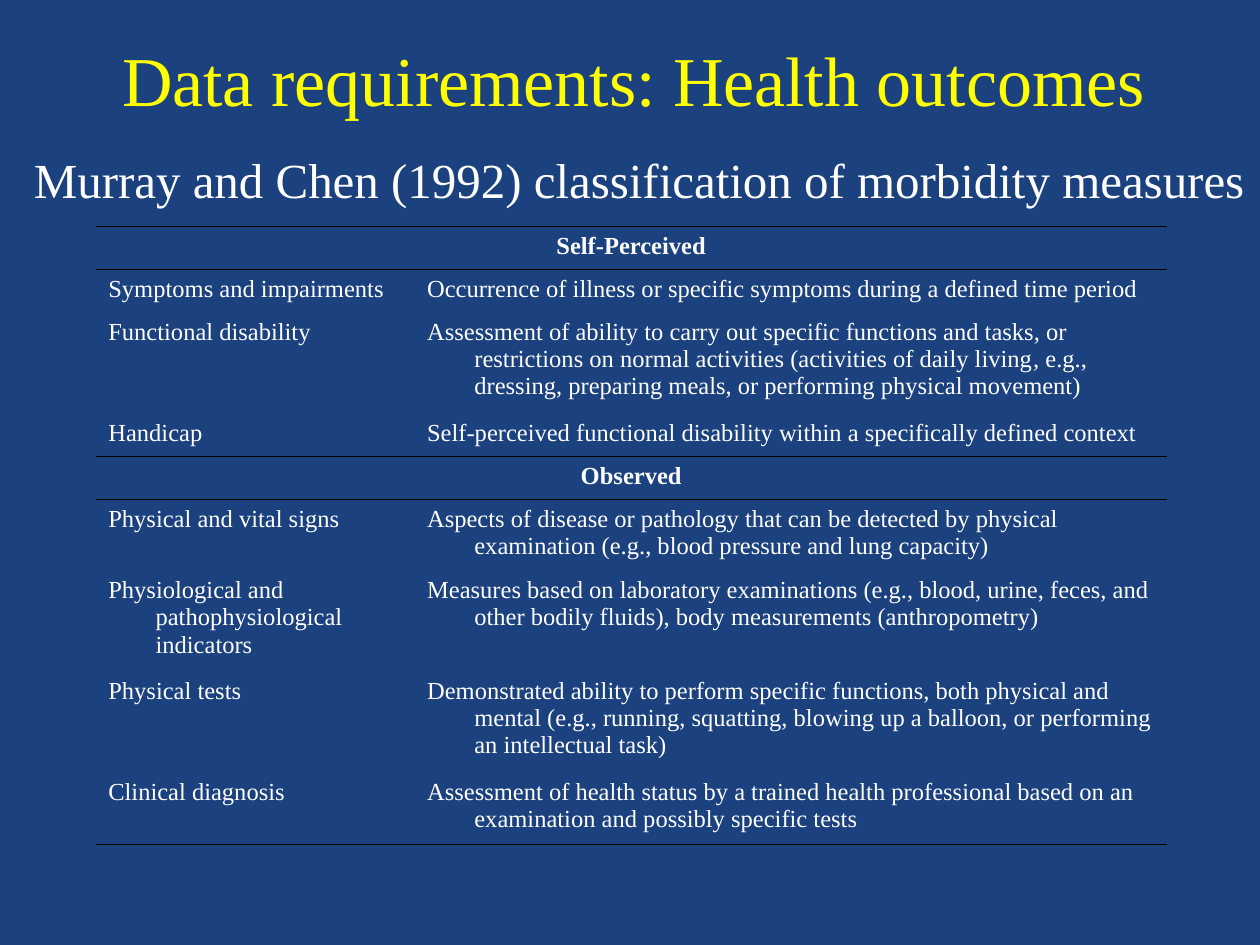
from dataclasses import dataclass

from lxml.etree import SubElement
from pptx import Presentation
from pptx.dml.color import RGBColor as Rgb
from pptx.enum.text import MSO_ANCHOR as Anchor, MSO_AUTO_SIZE as Fit, PP_ALIGN as Align
from pptx.oxml.ns import qn
from pptx.util import Inches, Pt

COLORS = {"back": "1B417F", "title": "FFFF00", "text": "FFFFFF", "rule": "000000"}
FONT = "Times New Roman"
PLAIN = "{2D5ABB26-0587-4C30-8999-92F81FD0307C}"  # table style without grid
HANG = 0.375


@dataclass
class Row:
    high: float
    name: str
    note: str = ""

    @property
    def head(self) -> bool:
        return not self.note


ROWS = [
    Row(0.34, "Self-Perceived"),
    Row(0.34, "Symptoms and impairments",
        "Occurrence of illness or specific symptoms during a defined time period"),
    Row(0.8, "Functional disability",
        "Assessment of ability to carry out specific functions and tasks, or restrictions on "
        "normal activities (activities of daily living*,* e.g., dressing, preparing meals, "
        "or performing physical movement)"),
    Row(0.34, "Handicap",
        "Self-perceived functional disability within a specifically defined context"),
    Row(0.34, "Observed"),
    Row(0.57, "Physical and vital signs",
        "Aspects of disease or pathology that can be detected by physical examination "
        "(e.g., blood pressure and lung capacity)"),
    Row(0.8, "Physiological and pathophysiological indicators",
        "Measures based on laboratory examinations (e.g., blood, urine, feces, and other "
        "bodily fluids), body measurements (anthropometry)"),
    Row(0.8, "Physical tests",
        "Demonstrated ability to perform specific functions, both physical and mental "
        "(e.g., running, squatting, blowing up a balloon, or performing an intellectual task)"),
    Row(0.57, "Clinical diagnosis",
        "Assessment of health status by a trained health professional based on an "
        "examination and possibly specific tests"),
]


def write(frame, text: str, *, size: float, color: str = "text", bold: bool = False,
          align=Align.LEFT, hang: float = 0) -> None:
    """Fill a text frame; parts between asterisks are italic."""
    para = frame.paragraphs[0]
    para.alignment = align
    if hang:
        props = para._p.get_or_add_pPr()
        props.set("marL", str(Inches(hang)))
        props.set("indent", str(-Inches(hang)))
    for i, part in enumerate(text.split("*")):
        run = para.add_run()
        run.text = part
        font = run.font
        font.name, font.size, font.bold = FONT, Pt(size), bold
        font.italic = i % 2 == 1
        font.color.rgb = Rgb.from_string(COLORS[color])


def style(cell, sides: list[str]) -> None:
    """Rule the given sides (T, B) of a cell and leave it unfilled."""
    props = cell._tc.get_or_add_tcPr()
    for side in "LRTB":
        line = SubElement(props, qn(f"a:ln{side}"), w=str(Pt(0.45)))
        if side in sides:
            fill = SubElement(line, qn("a:solidFill"))
            SubElement(fill, qn("a:srgbClr"), val=COLORS["rule"])
        else:
            SubElement(line, qn("a:noFill"))
    cell.fill.background()


def draw_table(slide, rows: list[Row]) -> None:
    wides = (2.53, 5.97)
    frame = slide.shapes.add_table(len(rows), len(wides), Inches(0.76), Inches(1.8),
                                   Inches(sum(wides)), Inches(sum(r.high for r in rows)))
    next(frame.element.iter(qn("a:tableStyleId"))).text = PLAIN
    table = frame.table
    table.first_row = table.horz_banding = False
    for col, wide in zip(table.columns, wides):
        col.width = Inches(wide)
    for i, row in enumerate(rows):
        table.rows[i].height = Inches(row.high)
        cells = list(table.rows[i].cells)
        sides = []
        if row.head or rows[i - 1].head:
            sides.append("T")
        if row.head or i + 1 == len(rows) or rows[i + 1].head:
            sides.append("B")
        for cell in cells:
            style(cell, sides)
        if row.head:
            cells[0].merge(cells[1])
            write(cells[0].text_frame, row.name, size=14, bold=True,
                  align=Align.CENTER, hang=HANG)
        else:
            for cell, text in zip(cells, (row.name, row.note)):
                write(cell.text_frame, text, size=14, hang=HANG)


def main() -> None:
    deck = Presentation()
    deck.slide_width, deck.slide_height = Inches(10), Inches(7.5)
    slide = deck.slides.add_slide(deck.slide_layouts[5])
    back = slide.background.fill
    back.solid()
    back.fore_color.rgb = Rgb.from_string(COLORS["back"])

    title = slide.shapes.title
    title.left, title.top = Inches(0.78), Inches(0)
    title.width, title.height = Inches(8.5), Inches(1.25)
    title.text_frame.vertical_anchor = Anchor.MIDDLE
    write(title.text_frame, "Data requirements: Health outcomes", size=40,
          color="title", align=Align.CENTER)

    box = slide.shapes.add_textbox(Inches(0.17), Inches(1.14), Inches(9.81), Inches(0.57))
    box.text_frame.word_wrap = False
    box.text_frame.auto_size = Fit.SHAPE_TO_FIT_TEXT
    write(box.text_frame, "Murray and Chen (1992) classification of morbidity measures", size=28)

    draw_table(slide, ROWS)
    deck.save("out.pptx")


if __name__ == "__main__":
    main()
